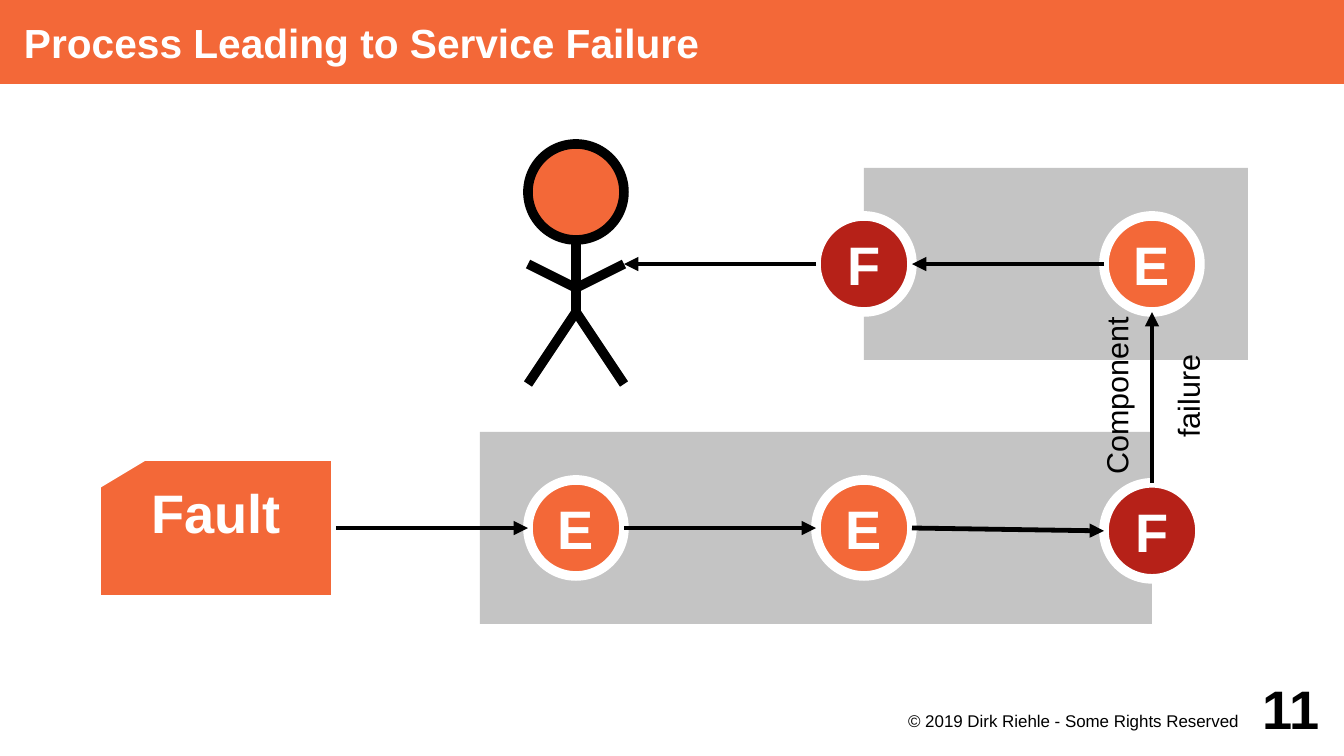
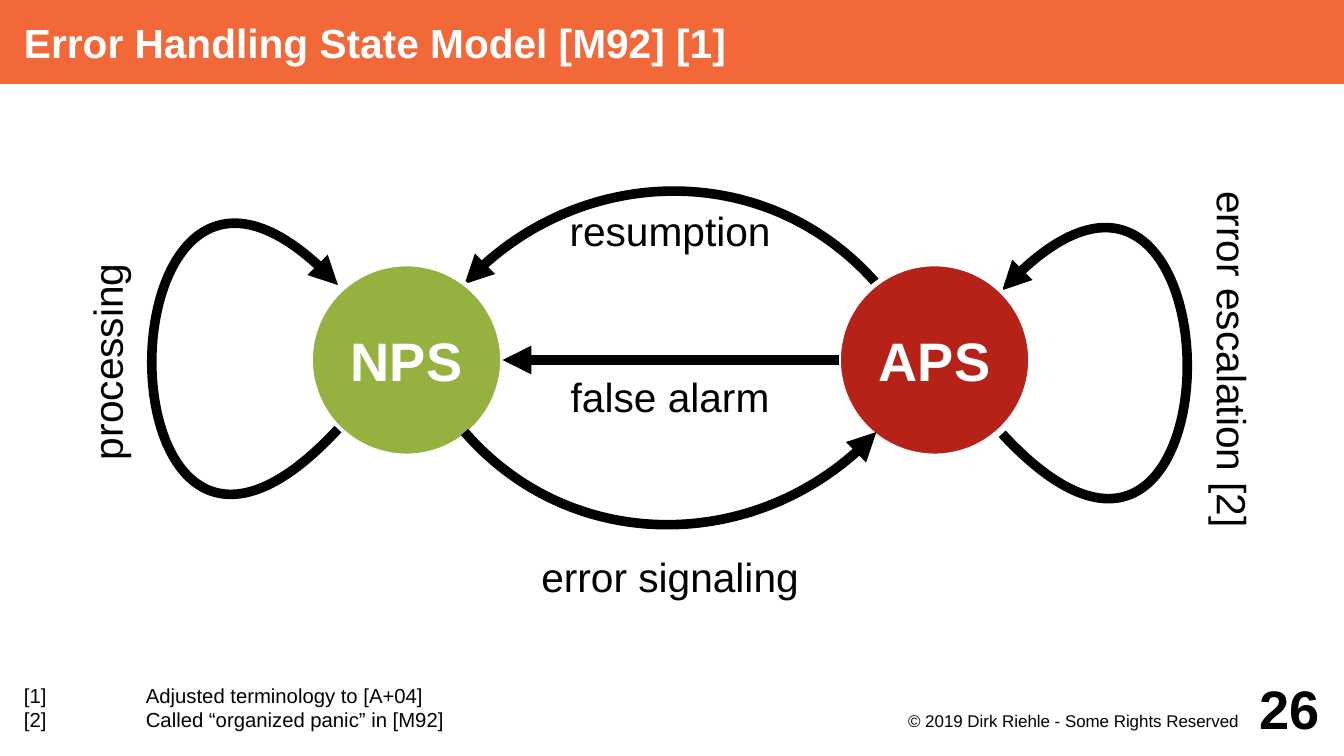
from dataclasses import dataclass
from itertools import pairwise

from lxml import etree
from pptx import Presentation
from pptx import util as u
from pptx.dml import color as col
from pptx.enum import shapes as es
from pptx.enum import text as et
from pptx.oxml import ns

WIDE, HIGH = 28, 15.75
FONT = "Arial"
ORANGE, RED, GREEN = "F36838", "B62118", "95B241"
GREY, BLACK, WHITE = "C4C4C4", "000000", "FFFFFF"
THICK, THIN = 5.67, 2.83
LEFT, MID, RIGHT = et.PP_ALIGN.LEFT, et.PP_ALIGN.CENTER, et.PP_ALIGN.RIGHT
TOP, CORE, BASE = et.MSO_ANCHOR.TOP, et.MSO_ANCHOR.MIDDLE, et.MSO_ANCHOR.BOTTOM
KIND = es.MSO_SHAPE

Spot = tuple[float, float]
Inset = tuple[float, float, float, float]
EVEN: Inset = (0.2, 0.2, 0.2, 0.2)


@dataclass(frozen=True)
class Box:
    x: float
    y: float
    w: float
    h: float

    def cm(self) -> list[int]:
        return [u.Cm(v) for v in (self.x, self.y, self.w, self.h)]


@dataclass(frozen=True)
class Style:
    size: float
    tint: str = BLACK
    bold: bool = False
    align: et.PP_ALIGN = MID
    anchor: et.MSO_ANCHOR = CORE
    inset: Inset = EVEN
    wrap: bool = True
    gap: float = 0
    tab: float = 0


@dataclass(frozen=True)
class Node:
    mark: str
    x: float
    y: float
    tint: str
    size: float = 2
    edge: float = THICK


@dataclass(frozen=True)
class Label:
    text: str
    box: Box
    style: Style
    turn: float = 0


@dataclass(frozen=True)
class Curve:
    start: Spot
    bend: Spot
    lean: Spot
    end: Spot

    def at(self, t: float) -> Spot:
        s = 1 - t
        mix = (s**3, 3 * s * s * t, 3 * s * t * t, t**3)
        knots = (self.start, self.bend, self.lean, self.end)
        return tuple(sum(m * k[i] for m, k in zip(mix, knots)) for i in (0, 1))


HEAD = Style(24, WHITE, True, LEFT, inset=(0.5, 0, 0, 0))
LEGAL = Style(10, align=RIGHT, anchor=TOP, inset=(0, 0.05, 0.2, 0))
PAGE = Style(32, bold=True, align=RIGHT, inset=(0, 0, 0, 0))
BADGE = Style(32, WHITE, True, wrap=False)
CARD = Style(32, WHITE, True, inset=(0.25, 0, 0.25, 1.27), wrap=False)
SIDE = Style(18, gap=20.7)
PLAIN = Style(24)
UPPER = Style(24, anchor=TOP)
ABOVE = Style(24, anchor=TOP, inset=(0.2, 0.05, 0.2, 0.2))
OUTER = Style(24, anchor=TOP, inset=(0.2, 0.28, 0.2, 0.2))
NOTES = Style(12, align=LEFT, anchor=BASE, inset=(0.5, 0, 0, 0.5), tab=2.54)


def rgb(tint: str) -> col.RGBColor:
    return col.RGBColor.from_string(tint)


def write(shape, text: str, style: Style) -> None:
    frame = shape.text_frame
    frame.auto_size = et.MSO_AUTO_SIZE.NONE
    frame.word_wrap = style.wrap
    frame.vertical_anchor = style.anchor
    (frame.margin_left, frame.margin_top,
     frame.margin_right, frame.margin_bottom) = map(u.Cm, style.inset)
    frame.text = text
    for i, para in enumerate(frame.paragraphs):
        para.alignment = style.align
        para.space_before = u.Pt(style.gap if i else 0)
        if style.tab:
            tabs = etree.SubElement(para._p.get_or_add_pPr(), ns.qn("a:tabLst"))
            etree.SubElement(tabs, ns.qn("a:tab"), pos=str(u.Cm(style.tab)), algn="l")
        font = para.font
        font.name, font.size, font.bold = FONT, u.Pt(style.size), style.bold
        font.color.rgb = rgb(style.tint)


def stroke(line, tint: str, width: float) -> None:
    line.color.rgb = rgb(tint)
    line.width = u.Pt(width)


def point(shape) -> None:
    etree.SubElement(shape.line._get_or_add_ln(), ns.qn("a:tailEnd"), type="triangle")


def block(group, kind: es.MSO_SHAPE, box: Box, fill: str, edge: str = "", width: float = 0):
    shape = group.add_shape(kind, *box.cm())
    shape.shadow.inherit = False
    shape.fill.solid()
    shape.fill.fore_color.rgb = rgb(fill)
    if edge:
        stroke(shape.line, edge, width)
    else:
        shape.line.fill.background()
    return shape


def rule(group, start: Spot, end: Spot, width: float, arrow: bool = False):
    line = group.add_connector(es.MSO_CONNECTOR.STRAIGHT, *map(u.Cm, start + end))
    stroke(line.line, BLACK, width)
    if arrow:
        point(line)
    etree.SubElement(line._element.spPr, ns.qn("a:effectLst"))
    return line


def bend(group, curve: Curve) -> None:
    dots = [tuple(map(u.Cm, curve.at(i / 40))) for i in range(41)]
    pen = group.build_freeform(*dots[0], scale=1.0)
    pen.add_line_segments(dots[1:], close=False)
    shape = pen.convert_to_shape()
    track = shape._element.spPr.find(".//" + ns.qn("a:path"))
    for step in track.findall(ns.qn("a:lnTo")):
        track.remove(step)
    arc = etree.SubElement(track, ns.qn("a:cubicBezTo"))
    for x, y in (curve.bend, curve.lean, curve.end):
        etree.SubElement(arc, ns.qn("a:pt"), x=str(u.Cm(x) - shape.left),
                         y=str(u.Cm(y) - shape.top))
    shape.shadow.inherit = False
    shape.fill.background()
    stroke(shape.line, BLACK, THICK)
    point(shape)


def dot(group, node: Node) -> None:
    half = node.size / 2
    box = Box(node.x - half, node.y - half, node.size, node.size)
    write(block(group, KIND.OVAL, box, node.tint, WHITE, node.edge), node.mark, BADGE)


def label(group, item: Label) -> None:
    shape = group.add_textbox(*item.box.cm())
    shape.rotation = item.turn
    write(shape, item.text, item.style)


def begin(deck, title: str, page: int):
    slide = deck.slides.add_slide(deck.slide_layouts[5])
    band = slide.shapes.title
    band.left, band.top, band.width, band.height = Box(0, 0, WIDE, 1.75).cm()
    band.fill.solid()
    band.fill.fore_color.rgb = rgb(ORANGE)
    write(band, title, HEAD)
    label(slide.shapes, Label("© 2019 Dirk Riehle - Some Rights Reserved",
                              Box(18, 14.75, 8, 0.75), LEGAL))
    label(slide.shapes, Label(str(page), Box(25.5, 14, 2, 1.5), PAGE))
    return slide.shapes


def person(group, x: float, y: float) -> None:
    parts = group.add_group_shape().shapes
    hip = (x, y + 3.5)
    limbs = [
        (hip, (x, y + 1)),
        ((x - 1, y + 2.5), (x, y + 3)),
        ((x, y + 3), (x + 1, y + 2.5)),
        (hip, (x + 1, y + 5)),
        (hip, (x - 1, y + 5)),
    ]
    for start, end in limbs:
        rule(parts, start, end, THICK)
    block(parts, KIND.OVAL, Box(x - 1, y, 2, 2), ORANGE, BLACK, THICK)


def process(deck) -> None:
    group = begin(deck, "Process Leading to Service Failure", 11)
    for box in (Box(18, 3.5, 8, 4), Box(10, 9, 14, 4)):
        block(group, KIND.RECTANGLE, box, GREY)
    cols, high, low, drop = (12, 18, 24), 5.5, 11, 11.06
    person(group, cols[0], 3)
    card = block(group, KIND.FLOWCHART_CARD, Box(2, 9.5, 5, 3), ORANGE, WHITE, THICK)
    write(card, "Fault", CARD)
    lower = [Node("E", cols[0], low, ORANGE), Node("E", cols[1], low, ORANGE),
             Node("F", cols[2], drop, RED)]
    upper = [Node("E", cols[2], high, ORANGE), Node("F", cols[1], high, RED)]
    for node in lower + upper:
        dot(group, node)
    for a, b in pairwise(lower):
        rule(group, (a.x + 1, a.y), (b.x - 1, b.y), THIN, True)
    for a, b in pairwise(cols[::-1]):
        rule(group, (a - 1, high), (b + 1, high), THIN, True)
    rule(group, (cols[2], drop - 1), (cols[2], high + 1), THIN, True)
    entry = rule(group, (7, low), (cols[0] - 1, low), THIN, True)
    entry.begin_connect(card, 3)
    label(group, Label("Component\nfailure", Box(21.25, 6.75, 5.5, 3), SIDE, 270))


def states(deck) -> None:
    group = begin(deck, "Error Handling State Model [M92] [1]", 26)
    normal = Node("NPS", 8.47, 7.5, GREEN, 4, THIN)
    faulty = Node("APS", 19.47, 7.5, RED, 4, THIN)
    bend(group, Curve((18.27, 5.92), (16.08, 3.4), (11.96, 3.4), (9.68, 5.92)))
    dot(group, normal)
    bend(group, Curve((20.88, 9.04), (25.96, 14.53), (25.96, 0.53), (20.88, 6.05)))
    dot(group, faulty)
    bend(group, Curve((7.04, 8.94), (1.93, 14.45), (1.93, 0.46), (7.04, 5.94)))
    bend(group, Curve((9.68, 9), (11.86, 11.51), (15.98, 11.51), (18.26, 9)))
    rule(group, (faulty.x - 2, 7.5), (normal.x + 2, 7.5), THICK, True)
    labels = [
        Label("resumption", Box(8.46, 4.24, 11, 2), ABOVE),
        Label("false alarm", Box(8.46, 7.54, 11, 1.5), UPPER),
        Label("error signaling", Box(8.46, 11.3, 11, 1.5), UPPER),
        Label("processing", Box(-0.03, 6.86, 4.5, 1.35), PLAIN, 270),
        Label("error escalation [2]", Box(20.73, 5.74, 8, 3.5), OUTER, 90),
        Label("[1]\tAdjusted terminology to [A+04]\n"
              "[2]\tCalled “organized panic” in [M92]", Box(0, 11.75, 20, 4), NOTES),
    ]
    for item in labels:
        label(group, item)


def main() -> None:
    deck = Presentation()
    deck.slide_width, deck.slide_height = u.Cm(WIDE), u.Cm(HIGH)
    process(deck)
    states(deck)
    deck.save("out.pptx")


if __name__ == "__main__":
    main()
